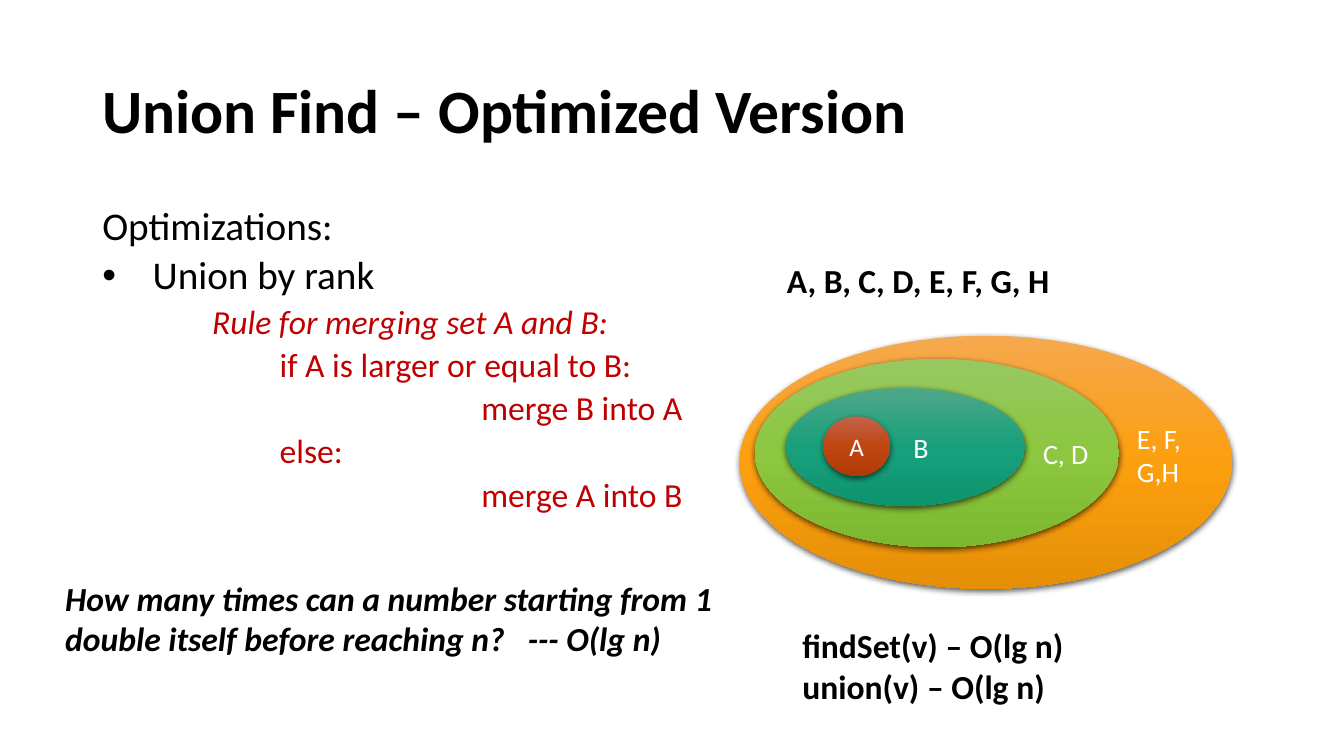
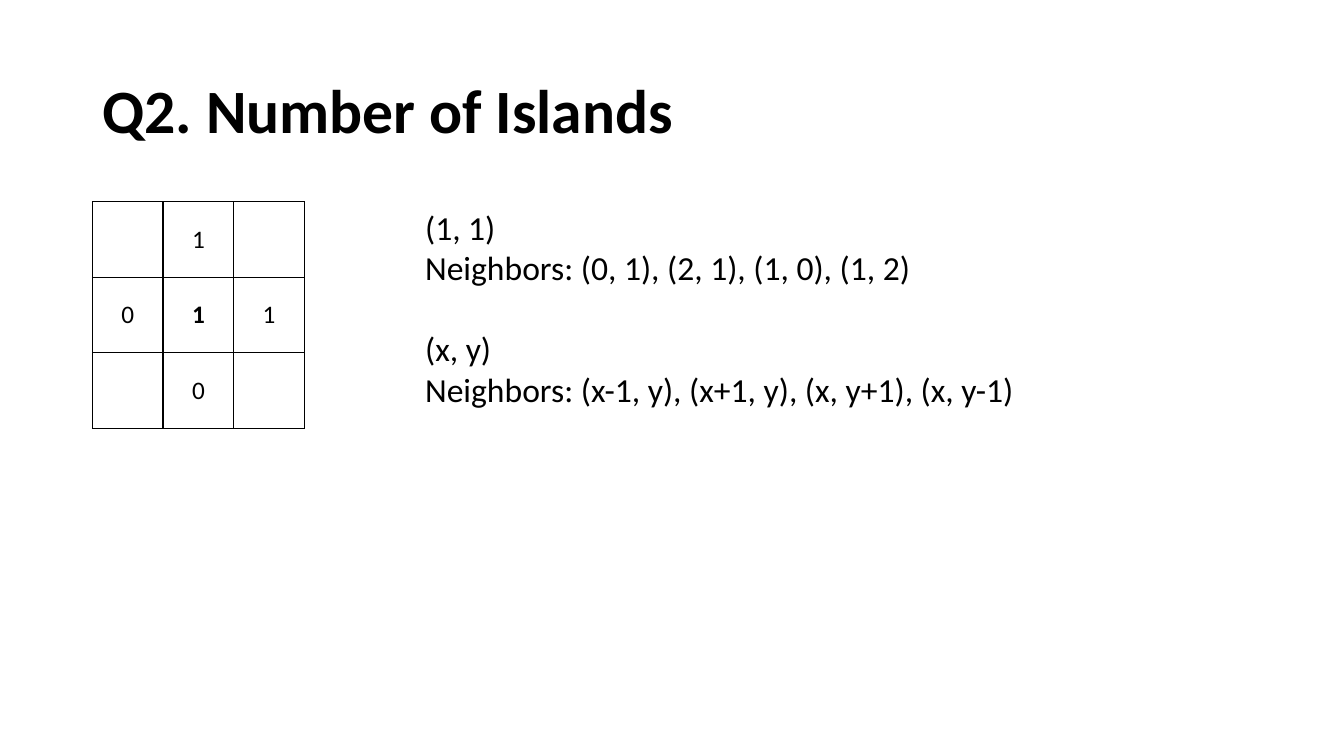
"""Builds two slides on union find and counting islands."""
from copy import deepcopy
from dataclasses import dataclass

from lxml.etree import SubElement
from pptx import Presentation
from pptx.dml.color import RGBColor
from pptx.enum.shapes import MSO_SHAPE as Shape
from pptx.enum.text import MSO_ANCHOR as Anchor, PP_ALIGN as Align
from pptx.oxml.ns import qn
from pptx.slide import Slide
from pptx.util import Pt

FONT = "Calibri"
BLACK, WHITE, RED = "000000", "FFFFFF", "C00000"
CELL_WIDTH, CELL_HEIGHT = 50.5, 54


@dataclass(frozen=True)
class Box:
    left: float
    top: float
    width: float
    height: float

    def lengths(self) -> tuple:
        return Pt(self.left), Pt(self.top), Pt(self.width), Pt(self.height)


@dataclass(frozen=True)
class Line:
    text: str
    size: float = 24
    colour: str = BLACK
    bold: bool = False
    italic: bool = False
    align: Align = Align.LEFT
    spacing: float = 1
    before: float = 0
    margin: float = 0
    bullet: str = ""
    tab: float = 0


@dataclass(frozen=True)
class NestedSet:
    box: Box
    shades: tuple[str, str, str]
    label: str = ""
    size: float = 20
    label_offset: float = 0


TITLE_BOX = Box(66, 29, 828, 104)

SETS = (
    NestedSet(Box(528.5, 239.8, 351.4, 180.7), ("F5A84E", "FC9F0E", "E58F07")),
    NestedSet(Box(539.3, 256.3, 259.9, 134.6), ("98C862", "8CC73F", "7DB831")),
    NestedSet(Box(561.6, 277.2, 170.6, 84.2), ("4EA788", "17A07B", "0F9470"), "B", 20, 22),
    NestedSet(Box(588.2, 297.4, 47.5, 42.5), ("C2634D", "BF4611", "B13B08"), "A", 18),
)


def rgb(colour: str) -> RGBColor:
    """Turn a hex string into a colour."""
    return RGBColor.from_string(colour)


def body_line(text: str, margin: float, size: float = 24, colour: str = RED,
              italic: bool = False, bullet: str = "") -> Line:
    """Describe one line of the body text."""
    return Line(text, size, colour, italic=italic, spacing=0.9, before=5,
                margin=margin, bullet=bullet)


def write(frame, lines: list[Line]) -> None:
    """Write styled paragraphs into a text frame."""
    for index, line in enumerate(lines):
        paragraph = frame.add_paragraph() if index else frame.paragraphs[0]
        paragraph.text = line.text
        paragraph.alignment = line.align
        paragraph.line_spacing = line.spacing
        paragraph.space_before = Pt(line.before)
        properties = paragraph._p.get_or_add_pPr()
        properties.set("marL", str(Pt(line.margin)))
        if line.bullet:
            properties.set("indent", str(-Pt(line.margin)))
            SubElement(properties, qn("a:buFont"), typeface="Arial")
            SubElement(properties, qn("a:buChar"), char=line.bullet)
        if line.tab:
            stops = SubElement(properties, qn("a:tabLst"))
            SubElement(stops, qn("a:tab"), pos=str(Pt(line.tab)), algn="l")
        font = paragraph.font
        font.name, font.size = FONT, Pt(line.size)
        font.bold, font.italic = line.bold, line.italic
        font.color.rgb = rgb(line.colour)


def add_text(slide: Slide, box: Box, *lines: Line, anchor: Anchor = Anchor.TOP) -> None:
    """Add a wrapping text box."""
    frame = slide.shapes.add_textbox(*box.lengths()).text_frame
    frame.word_wrap = True
    frame.vertical_anchor = anchor
    write(frame, list(lines))


def add_titled_slide(deck, title: str) -> Slide:
    """Add a blank slide with the shared title style."""
    slide = deck.slides.add_slide(deck.slide_layouts[6])
    add_text(slide, TITLE_BOX, Line(title, 44, bold=True, spacing=0.9), anchor=Anchor.MIDDLE)
    return slide


def add_set(slide: Slide, nested: NestedSet) -> None:
    """Draw one shaded ellipse with its shadow and label."""
    ellipse = slide.shapes.add_shape(Shape.OVAL, *nested.box.lengths())
    ellipse.line.fill.background()
    ellipse.fill.gradient()
    ellipse.fill.gradient_angle = 270
    properties = ellipse._element.spPr
    last_stop = properties.findall(".//" + qn("a:gs"))[-1]
    last_stop.addnext(deepcopy(last_stop))
    for stop, shade, position in zip(ellipse.fill.gradient_stops, nested.shades, (0, 0.5, 1)):
        stop.color.rgb = rgb(shade)
        stop.position = position
    ellipse.shadow.inherit = False
    shadow = SubElement(properties.find(qn("a:effectLst")), qn("a:outerShdw"),
                        blurRad=str(Pt(4.5)), dist=str(Pt(1.5)), dir="5400000", rotWithShape="0")
    tint = SubElement(shadow, qn("a:srgbClr"), val=BLACK)
    SubElement(tint, qn("a:alpha"), val="63000")
    if nested.label:
        frame = ellipse.text_frame
        frame.margin_left = Pt(nested.label_offset)
        frame.margin_right = frame.margin_top = frame.margin_bottom = 0
        frame.vertical_anchor = Anchor.MIDDLE
        write(frame, [Line(nested.label, nested.size, WHITE, align=Align.CENTER)])


def add_grid(slide: Slide, left: float, top: float, rows: list[str]) -> None:
    """Draw the grid of cells with its centre in bold."""
    count = len(rows)
    box = Box(left, top, count * CELL_WIDTH, count * CELL_HEIGHT)
    grid = slide.shapes.add_table(count, count, *box.lengths()).table
    grid.first_row = grid.horz_banding = False
    for index in range(count):
        grid.columns[index].width = Pt(CELL_WIDTH)
        grid.rows[index].height = Pt(CELL_HEIGHT)
    for row, values in enumerate(rows):
        for column, value in enumerate(values):
            cell = grid.cell(row, column)
            cell.vertical_anchor = Anchor.MIDDLE
            properties = cell._tc.get_or_add_tcPr()
            for side in ("lnL", "lnR", "lnT", "lnB"):
                border = SubElement(properties, qn(f"a:{side}"), w=str(Pt(1)))
                ink = SubElement(border, qn("a:solidFill"))
                SubElement(ink, qn("a:srgbClr"), val=BLACK)
            cell.fill.background()
            if value.strip():
                centre = row == column == count // 2
                write(cell.text_frame, [Line(value, 18, bold=centre, align=Align.CENTER)])


def build_union_find(deck) -> None:
    """Build the union find slide."""
    slide = add_titled_slide(deck, "Union Find – Optimized Version")
    add_text(slide, Box(66, 144, 828, 343),
             body_line("Optimizations:", 0, 28, BLACK),
             body_line("Union by rank", 36, 28, BLACK, bullet="•"),
             body_line("Rule for merging set A and B:", 78.5, italic=True),
             body_line("if A is larger or equal to B:", 126.7),
             body_line("merge B into A", 270.7),
             body_line("else:", 126.7),
             body_line("merge A into B", 270.7))
    add_text(slide, Box(555, 182, 341, 36), Line("A, B, C, D, E, F, G, H", bold=True))
    for nested in SETS:
        add_set(slide, nested)
    add_text(slide, Box(738, 308, 56, 32), Line("C, D", 20, WHITE))
    add_text(slide, Box(805, 297.4, 60.5, 58), Line("E, F, G,H", 20, WHITE))
    add_text(slide, Box(566, 443, 341, 65),
             Line("findSet(v) – O(lg n)", bold=True), Line("union(v) – O(lg n)", bold=True))
    add_text(slide, Box(39.5, 409, 489, 65),
             Line("How many times can a number starting from 1 "
                  "double itself before reaching n?\t--- O(lg n)",
                  bold=True, italic=True, tab=330.5))


def build_islands(deck) -> None:
    """Build the islands slide."""
    slide = add_titled_slide(deck, "Q2. Number of Islands")
    add_grid(slide, 66, 144, [" 1 ", "011", " 0 "])
    add_text(slide, Box(296.6, 144, 562, 269),
             Line("(1, 1)"),
             Line("Neighbors: (0, 1), (2, 1), (1, 0), (1, 2)"),
             Line("(x, y)", before=29.3),
             Line("Neighbors: (x-1, y), (x+1, y), (x, y+1), (x, y-1)"))


def main() -> None:
    """Build and save the deck."""
    deck = Presentation()
    deck.slide_width, deck.slide_height = Pt(960), Pt(540)
    build_union_find(deck)
    build_islands(deck)
    deck.save("out.pptx")


if __name__ == "__main__":
    main()
